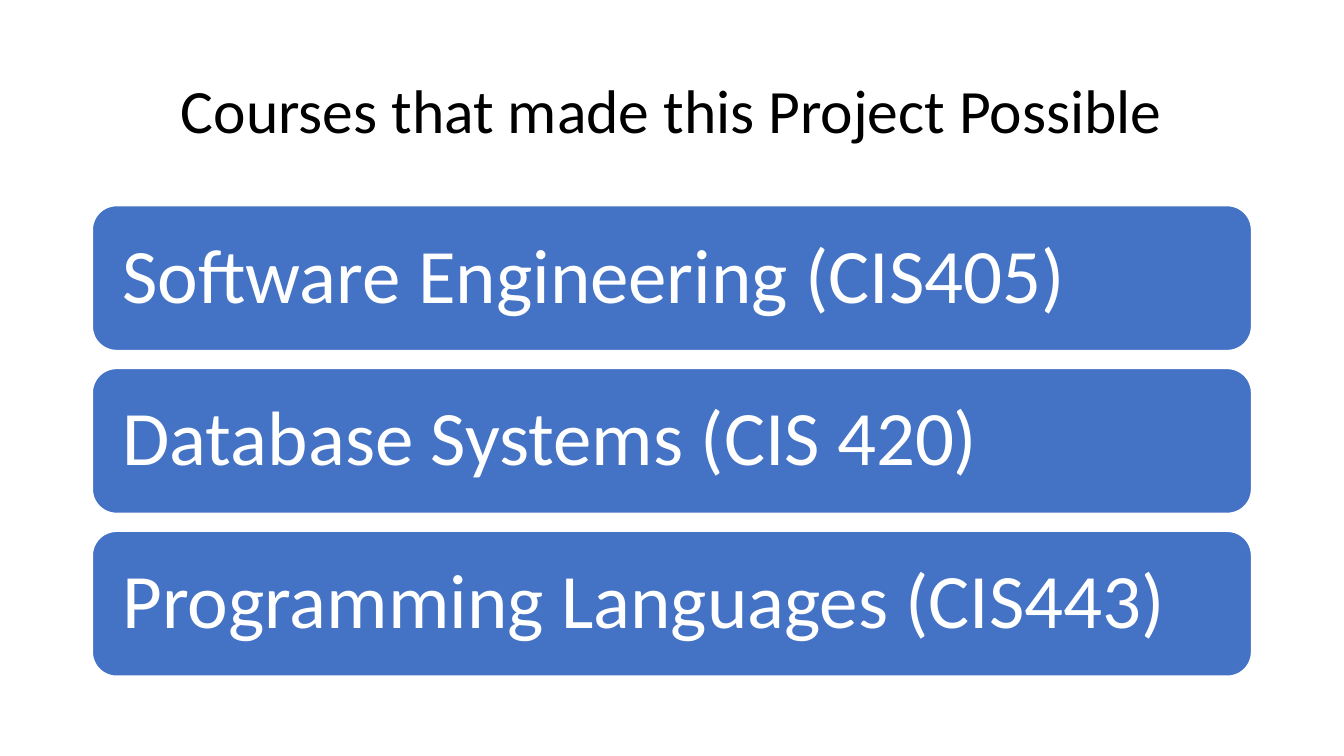
"""Build a slide listing the courses that made the project possible."""
from dataclasses import dataclass

from pptx import Presentation
from pptx import util as u
from pptx.dml.color import RGBColor
from pptx.enum import shapes, text


@dataclass(frozen=True)
class Theme:
    font: str = "Calibri"
    title_size: int = 44
    course_size: int = 55
    black: RGBColor = RGBColor(0x00, 0x00, 0x00)
    white: RGBColor = RGBColor(0xFF, 0xFF, 0xFF)
    blue: RGBColor = RGBColor(0x44, 0x72, 0xC4)


theme = Theme()


def write(shape, wording, size, color, alignment):
    frame = shape.text_frame
    frame.word_wrap = True
    frame.auto_size = text.MSO_AUTO_SIZE.NONE
    frame.vertical_anchor = text.MSO_ANCHOR.MIDDLE
    paragraph = frame.paragraphs[0]
    paragraph.text = wording
    paragraph.alignment = alignment
    paragraph.line_spacing = 0.9
    paragraph.font.name = theme.font
    paragraph.font.size = u.Pt(size)
    paragraph.font.color.rgb = color


presentation = Presentation()
presentation.slide_width = u.Pt(960)
presentation.slide_height = u.Pt(540)
slide = presentation.slides.add_slide(presentation.slide_layouts[5])

left, width = 66, 828
title = slide.shapes.title
title.left, title.top = u.Pt(left), u.Pt(28.75)
title.width, title.height = u.Pt(width), u.Pt(104.4)
write(title, "Courses that made this Project Possible", theme.title_size,
      theme.black, text.PP_ALIGN.CENTER)

courses = [
    "Software Engineering (CIS405)",
    "Database Systems (CIS 420)",
    "Programming Languages (CIS443)",
]
first_top, bar_height, pitch, inset = 146.9, 103.5, 116.3, 16.5
for index, course in enumerate(courses):
    bar = slide.shapes.add_shape(
        shapes.MSO_SHAPE.ROUNDED_RECTANGLE, u.Pt(left),
        u.Pt(first_top + index * pitch), u.Pt(width), u.Pt(bar_height))
    bar.shadow.inherit = False
    bar.fill.solid()
    bar.fill.fore_color.rgb = theme.blue
    bar.line.color.rgb = theme.white
    bar.line.width = u.Pt(1)
    frame = bar.text_frame
    frame.margin_left = frame.margin_right = u.Pt(inset)
    frame.margin_top = frame.margin_bottom = u.Pt(inset)
    write(bar, course, theme.course_size, theme.white, text.PP_ALIGN.LEFT)

presentation.save("out.pptx")
